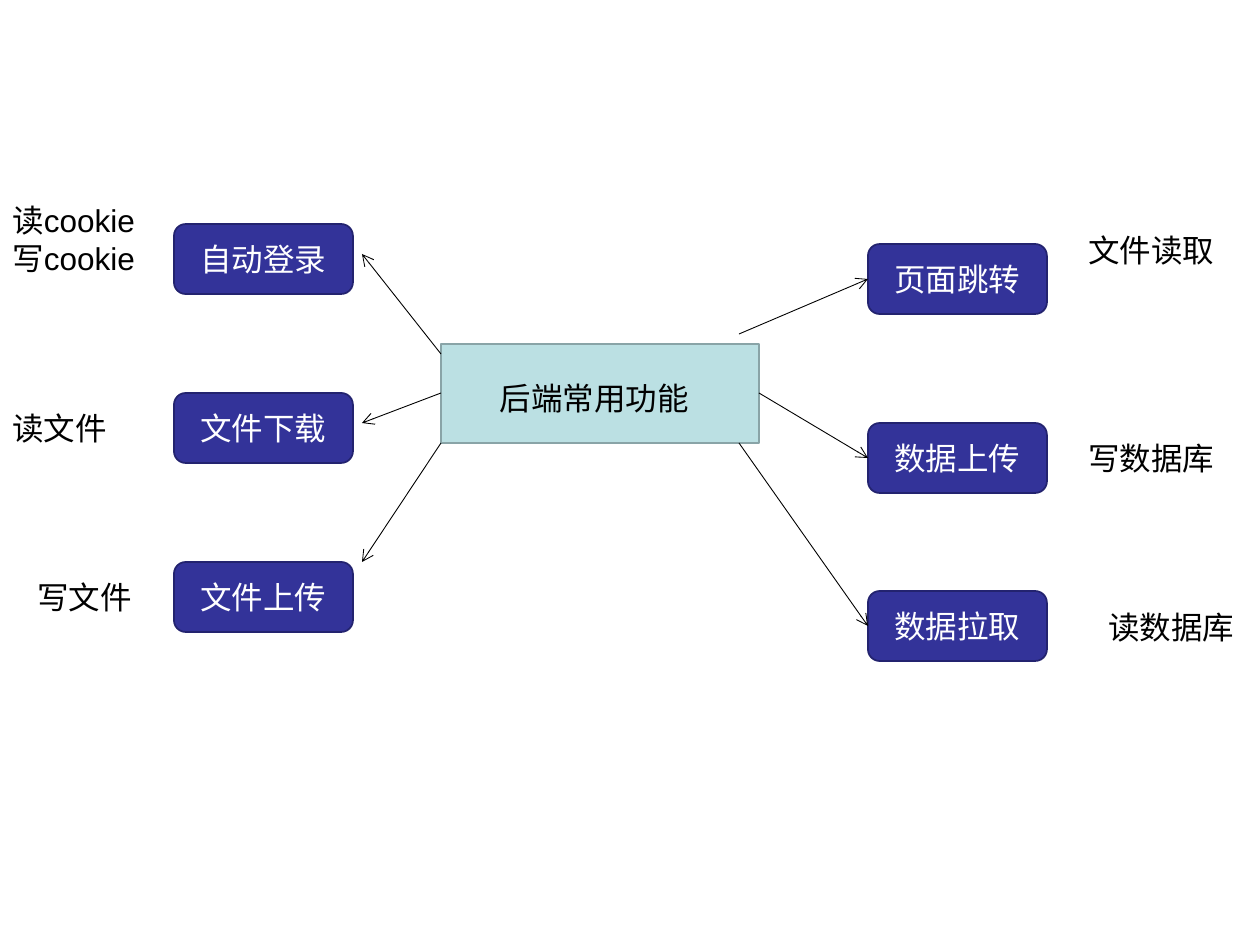
"""Build a slide mapping common back-end functions to the operations behind them."""
from typing import NamedTuple

import pptx
import pptx.dml.color
import pptx.enum.shapes
import pptx.enum.text
import pptx.oxml
import pptx.oxml.ns
import pptx.util
from pptx.shapes.autoshape import Shape
from pptx.slide import Slide

SCALE = 914400 / 126
FONT = "Arial"
BLACK, WHITE = "000000", "FFFFFF"
SHAPES = pptx.enum.shapes.MSO_SHAPE
ALIGN = pptx.enum.text.PP_ALIGN


class Box(NamedTuple):
    left: int
    top: int
    width: int
    height: int


class Feature(NamedTuple):
    name: str
    top: int
    note: str
    note_box: Box
    arrow_start: tuple[int, int]
    arrow_end: tuple[int, int]


FEATURE_WIDTH, FEATURE_HEIGHT = 179, 70
CENTER = Box(441, 344, 318, 99)
CENTER_LABEL = Box(451, 373, 287, 50)
COLUMNS = {
    174: [
        Feature("自动登录", 224, "读cookie\n写cookie", Box(0, 195, 153, 164), (441, 354), (362, 254)),
        Feature("文件下载", 393, "读文件", Box(0, 403, 144, 50), (441, 393), (362, 423)),
        Feature("文件上传", 562, "写文件", Box(25, 572, 129, 50), (441, 443), (362, 562)),
    ],
    868: [
        Feature("页面跳转", 244, "文件读取", Box(1076, 225, 169, 50), (739, 334), (868, 279)),
        Feature("数据上传", 423, "写数据库", Box(1076, 433, 184, 50), (759, 393), (868, 458)),
        Feature("数据拉取", 591, "读数据库", Box(1096, 602, 164, 50), (739, 443), (868, 626)),
    ],
}


def px(value: int) -> int:
    return round(value * SCALE)


def color(value: str) -> pptx.dml.color.RGBColor:
    return pptx.dml.color.RGBColor.from_string(value)


def write_text(shape: Shape, text: str, ink: str, alignment: ALIGN) -> None:
    shape.text_frame.word_wrap = True
    shape.text_frame.text = text
    for paragraph in shape.text_frame.paragraphs:
        paragraph.alignment = alignment
        paragraph.font.name = FONT
        paragraph.font.size = pptx.util.Pt(18)
        paragraph.font.color.rgb = color(ink)


def add_block(slide: Slide, kind: SHAPES, box: Box, fill: str, line: str) -> Shape:
    shape = slide.shapes.add_shape(kind, *map(px, box))
    shape.shadow.inherit = False
    shape.fill.solid()
    shape.fill.fore_color.rgb = color(fill)
    shape.line.color.rgb = color(line)
    shape.line.width = pptx.util.Pt(1)
    return shape


def add_label(slide: Slide, box: Box, text: str, alignment: ALIGN = ALIGN.LEFT) -> None:
    shape = slide.shapes.add_textbox(*map(px, box))
    write_text(shape, text, BLACK, alignment)
    shape.text_frame.auto_size = pptx.enum.text.MSO_AUTO_SIZE.SHAPE_TO_FIT_TEXT


def add_arrow(slide: Slide, start: tuple[int, int], end: tuple[int, int]) -> None:
    connector = slide.shapes.add_connector(
        pptx.enum.shapes.MSO_CONNECTOR.STRAIGHT, *map(px, start + end)
    )
    connector.line.color.rgb = color(BLACK)
    connector.line.width = pptx.util.Pt(0.5)
    tail = pptx.oxml.parse_xml(f'<a:tailEnd {pptx.oxml.ns.nsdecls("a")} type="arrow"/>')
    connector.line._get_or_add_ln().append(tail)
    effects = pptx.oxml.parse_xml(f'<a:effectLst {pptx.oxml.ns.nsdecls("a")}/>')
    connector._element.spPr.append(effects)


def add_feature(slide: Slide, left: int, feature: Feature) -> None:
    box = Box(left, feature.top, FEATURE_WIDTH, FEATURE_HEIGHT)
    shape = add_block(slide, SHAPES.FLOWCHART_ALTERNATE_PROCESS, box, "333399", "23236F")
    write_text(shape, feature.name, WHITE, ALIGN.CENTER)
    shape.text_frame.vertical_anchor = pptx.enum.text.MSO_ANCHOR.MIDDLE
    add_label(slide, feature.note_box, feature.note)
    add_arrow(slide, feature.arrow_start, feature.arrow_end)


def main() -> None:
    presentation = pptx.Presentation()
    presentation.slide_width = px(1260)
    presentation.slide_height = px(945)
    slide = presentation.slides.add_slide(presentation.slide_layouts[6])
    add_block(slide, SHAPES.RECTANGLE, CENTER, "BBE0E3", "89A4A7")
    add_label(slide, CENTER_LABEL, "后端常用功能", ALIGN.CENTER)
    for left, features in COLUMNS.items():
        for feature in features:
            add_feature(slide, left, feature)
    presentation.save("out.pptx")


if __name__ == "__main__":
    main()
